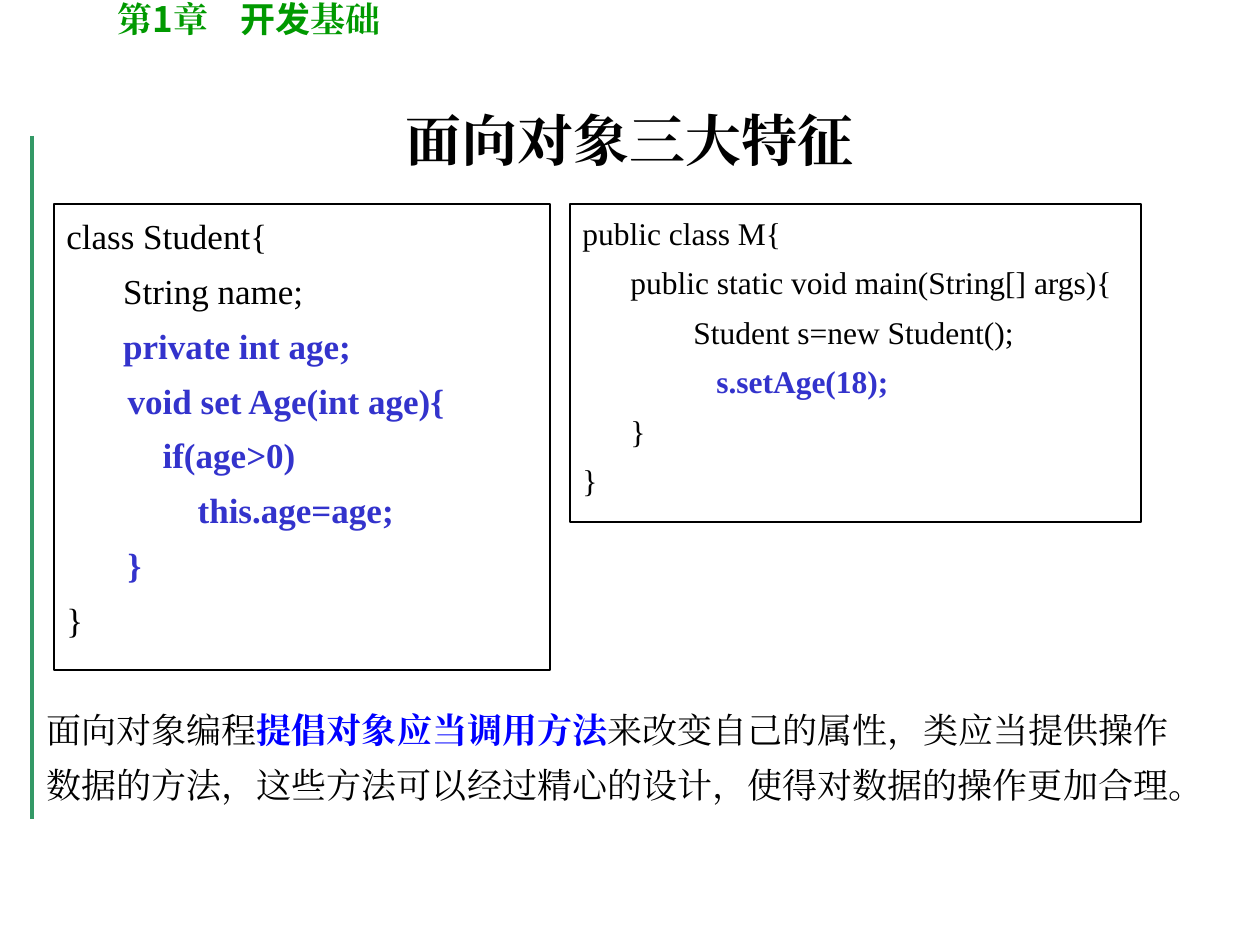
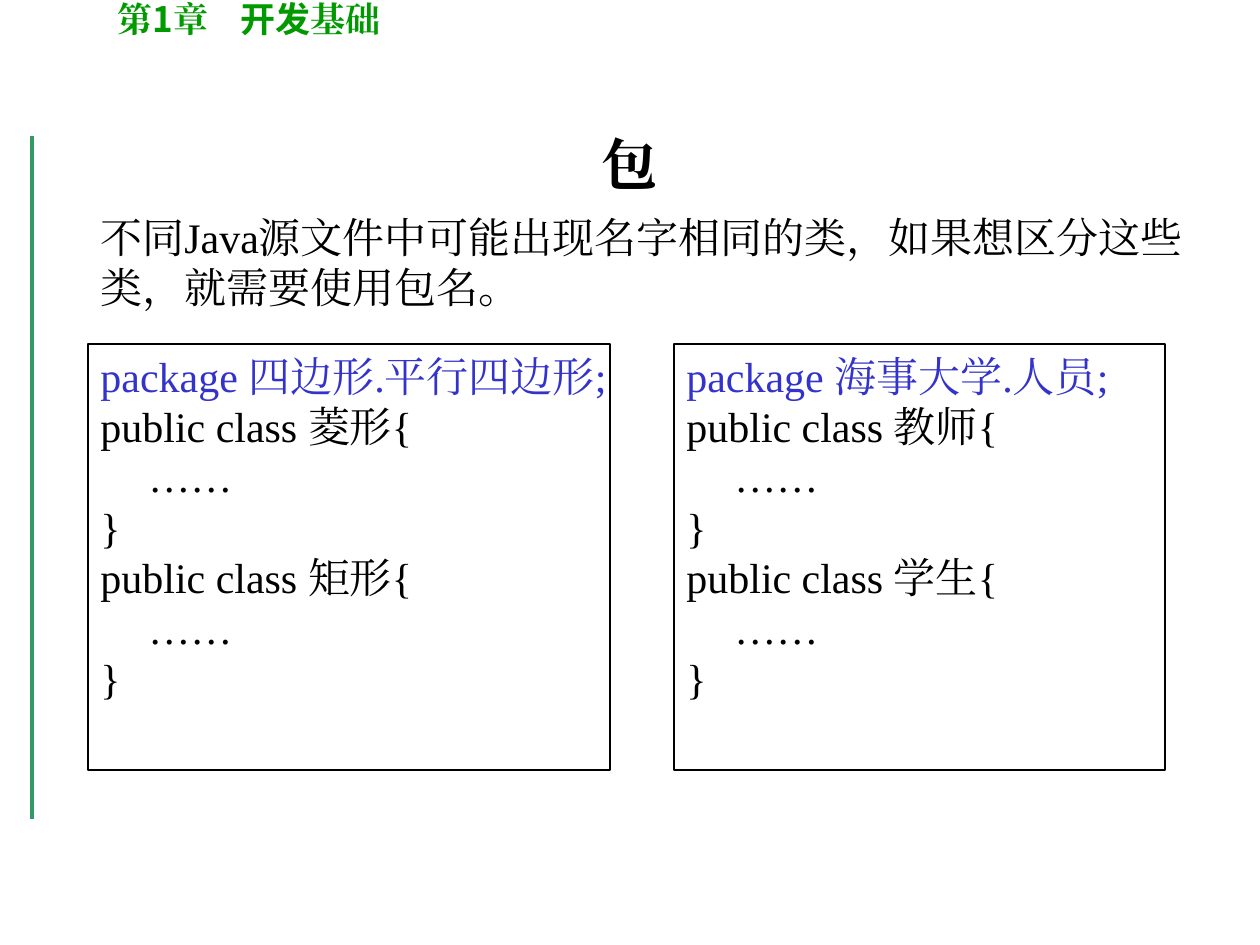
"""Build two lecture slides on object-oriented features and packages."""
from lxml.etree import SubElement
from pptx import Presentation
from pptx.dml.color import RGBColor
from pptx.enum.shapes import MSO_CONNECTOR, MSO_SHAPE
from pptx.enum.text import MSO_ANCHOR, PP_ALIGN
from pptx.oxml.ns import qn
from pptx.util import Pt

SCALE = 914400 / 126
SERIF, SANS = "Times New Roman", "Noto Sans CJK SC"
PLAIN = ("000000", False, SERIF)
TITLE = ("000000", True, SERIF)
KEYWORD = ("3333CC", False, SERIF)
CODE_BOLD = ("3333CC", True, SERIF)
STRESS = ("0000FF", True, SERIF)
HEADER = ("009900", True, SERIF)
HEADER_SANS = ("009900", True, SANS)


def px(*lengths):
    """Turn pixel lengths into EMU."""
    return [round(length * SCALE) for length in lengths]


def write(frame, lines, size, align=PP_ALIGN.LEFT, indent=0, tabs=(), spacing=1.0, before=0):
    """Fill a text frame with lines, each a list of (text, style) spans."""
    frame.word_wrap = True
    for number, line in enumerate(lines):
        para = frame.add_paragraph() if number else frame.paragraphs[0]
        properties = para._p.get_or_add_pPr()
        if indent:
            margin, = px(indent)
            properties.set("marL", str(margin))
            properties.set("indent", str(-margin))
        if tabs:
            stops = SubElement(properties, qn("a:tabLst"))
            for position in px(*tabs):
                SubElement(stops, qn("a:tab"), pos=str(position), algn="l")
        para.alignment = align
        para.line_spacing = spacing
        para.space_before = Pt(before if number else 0)
        for text, (color, bold, font) in line:
            span = para.add_run()
            span.text = text
            span.font.size = Pt(size)
            span.font.bold = bold
            span.font.name = font
            span.font.color.rgb = RGBColor.from_string(color)
            SubElement(span._r.get_or_add_rPr(), qn("a:ea"), typeface=font)


student_code = [
    [("class Student{", PLAIN)],
    [("\t String name;", PLAIN)],
    [("\t ", PLAIN), ("private int age;", CODE_BOLD)],
    [("       void set Age(int age){", CODE_BOLD)],
    [("           if(age>0)", CODE_BOLD)],
    [("               this.age=age;", CODE_BOLD)],
    [("       }", CODE_BOLD)],
    [("}", PLAIN)],
]
main_code = [
    [("public class M{", PLAIN)],
    [("\tpublic static void main(String[] args){", PLAIN)],
    [("\t\tStudent s=new Student();", PLAIN)],
    [("                 ", PLAIN), ("s.setAge(18);", CODE_BOLD)],
    [("\t}", PLAIN)],
    [("}", PLAIN)],
]
package_codes = []
for package_name, class_names in [("四边形.平行四边形", ("菱形", "矩形")),
                                  ("海事大学.人员", ("教师", "学生"))]:
    code = [[(f"package {package_name};", KEYWORD)]]
    for class_name in class_names:
        for text in (f"public class {class_name}{{", "\t……", "}"):
            code.append([(text, PLAIN)])
    package_codes.append(code)

advice = [
    ("面向对象编程", PLAIN),
    ("提倡对象应当调用方法", STRESS),
    ("来改变自己的属性，类应当提供操作数据的方法，这些方法可以经过精心的设计，使得对数据的操作更加合理。", PLAIN),
]
package_use = [("不同Java源文件中可能出现名字相同的类，如果想区分这些类，就需要使用包名。", PLAIN)]
chapter = [("第", HEADER), ("1", HEADER_SANS), ("章", HEADER),
           ("\t开发", HEADER_SANS), ("基础", HEADER)]

pages = [
    {"title": "面向对象三大特征", "title_height": 111,
     "note": (advice, (34, 690, 1152, 122), 20, 1.3),
     "codes": [(student_code, (54, 204, 496, 466), 20, 1.1, 5),
               (main_code, (570, 204, 571, 318), 18, 1.1, 4.5)]},
    {"title": "包", "title_height": 158,
     "note": (package_use, (88, 205, 1131, 113), 24, 1.0),
     "codes": [(package_codes[0], (88, 344, 522, 426), 24, 1.0, 0),
               (package_codes[1], (674, 344, 491, 426), 24, 1.0, 0)]},
]

deck = Presentation()
deck.slide_width, deck.slide_height = px(1260, 945)

for content in pages:
    page = deck.slides.add_slide(deck.slide_layouts[5])

    rule = page.shapes.add_connector(MSO_CONNECTOR.STRAIGHT, *px(32, 136, 32, 819))
    rule.line.color.rgb = RGBColor.from_string("339966")
    rule.line.width = Pt(2.25)
    SubElement(rule._element.spPr, qn("a:effectLst"))

    box = page.shapes.add_textbox(*px(105, -9, 724, 55))
    write(box.text_frame, [chapter], 20, tabs=(123,))

    title = page.shapes.title
    title.left, title.top, title.width, title.height = px(94, 84, 1071, content["title_height"])
    title.text_frame.vertical_anchor = MSO_ANCHOR.MIDDLE
    write(title.text_frame, [[(content["title"], TITLE)]], 32, PP_ALIGN.CENTER)

    for code, place, size, spacing, before in content["codes"]:
        box = page.shapes.add_shape(MSO_SHAPE.RECTANGLE, *px(*place))
        box.shadow.inherit = False
        box.fill.background()
        box.line.color.rgb = RGBColor.from_string("000000")
        box.line.width = Pt(0.75)
        box.text_frame.vertical_anchor = MSO_ANCHOR.TOP
        write(box.text_frame, code, size, indent=48, tabs=(0, 126),
              spacing=spacing, before=before)

    note, place, size, spacing = content["note"]
    box = page.shapes.add_textbox(*px(*place))
    write(box.text_frame, [note], size, spacing=spacing)

deck.save("out.pptx")
